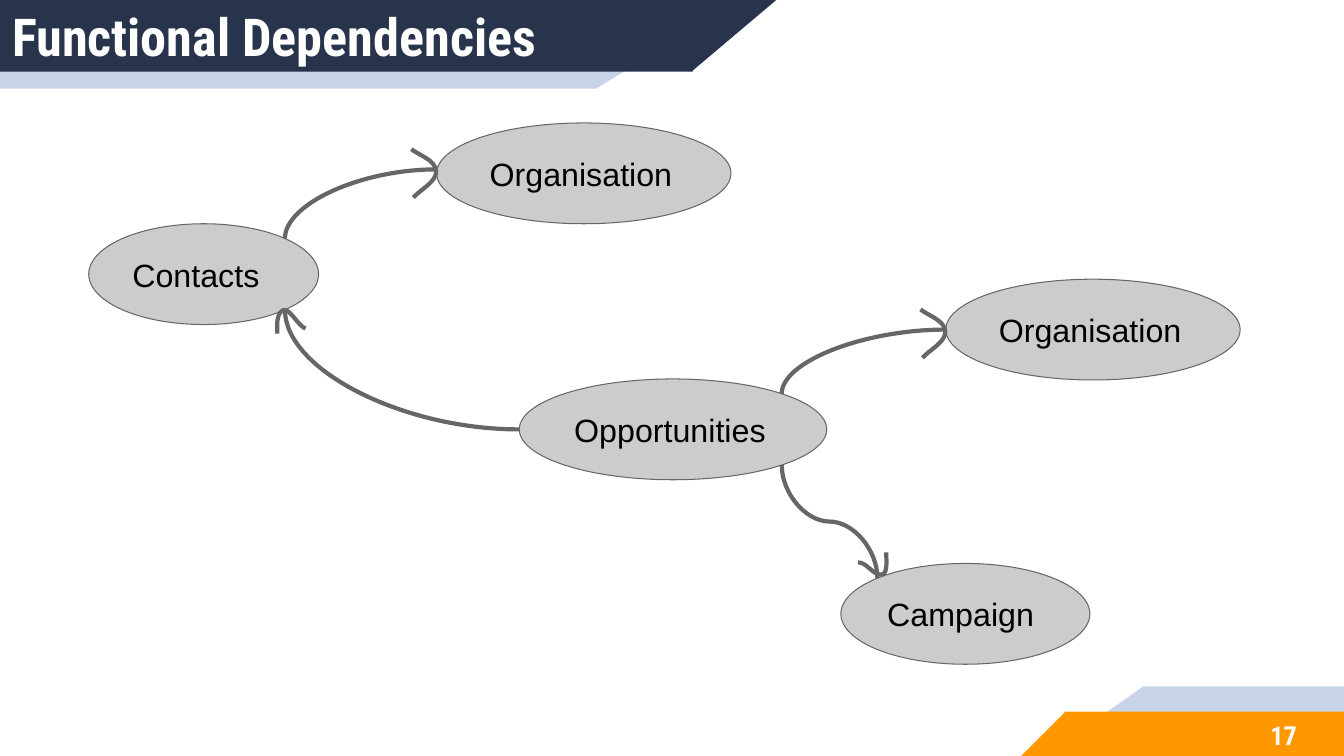
from math import sqrt

from lxml import etree
from pptx import Presentation
from pptx.dml.color import RGBColor
from pptx.enum.shapes import MSO_CONNECTOR, MSO_SHAPE
from pptx.enum.text import MSO_ANCHOR, PP_ALIGN
from pptx.oxml.ns import qn
from pptx.util import Inches, Pt

RECTANGLE, TRIANGLE, OVAL = MSO_SHAPE.RECTANGLE, MSO_SHAPE.RIGHT_TRIANGLE, MSO_SHAPE.OVAL
CURVE = MSO_CONNECTOR.CURVE
MIDDLE, LEFT, CENTER = MSO_ANCHOR.MIDDLE, PP_ALIGN.LEFT, PP_ALIGN.CENTER
NAVY = RGBColor(0x28, 0x34, 0x4B)
PALE_BLUE = RGBColor(0xC7, 0xD3, 0xE6)
ORANGE = RGBColor(0xFF, 0x98, 0x00)
WHITE = RGBColor(0xFF, 0xFF, 0xFF)
BLACK = RGBColor(0, 0, 0)
LIGHT_GREY = RGBColor(0xCC, 0xCC, 0xCC)
DARK_GREY = RGBColor(0x66, 0x66, 0x66)

WIDTH, HEIGHT = 13.33, 7.5
NODE_HEIGHT = 1
OVERLAP = 0.01  # hides the seam between a bar and its slanted end
CURVE_STEPS = 12
DIAGONAL = 1 / sqrt(2)

# Content
TITLE, PAGE_NUMBER = "Functional Dependencies", "17"
HEADING_FORMAT = {"name": "Roboto Condensed", "bold": True}
NODE_FORMAT = {"name": "Arial", "size": Pt(23)}

# Header bands: width of the bar, width of its slanted end, height, colour
HEADER_BANDS = [(5.91, 1.45, 0.88, PALE_BLUE), (6.86, 0.84, 0.71, NAVY)]
# Footer bands: the same, measured from the lower right corner
FOOTER_BANDS = [(1.99, 0.98, 0.69, PALE_BLUE), (2.76, 0.44, 0.44, ORANGE)]

# Nodes: label, left, top, width
NODES = {
    "contacts": ("Contacts", 0.88, 2.22, 2.28),
    "contact organisation": ("Organisation", 4.33, 1.22, 2.92),
    "opportunities": ("Opportunities", 5.15, 3.76, 3.05),
    "opportunity organisation": ("Organisation", 9.38, 2.77, 2.92),
    "campaign": ("Campaign", 8.34, 5.59, 2.47),
}

# Points on an oval's rim, as shares of its half width and half height
SITES = {
    "left": (-1, 0),
    "upper left side": (-1, -0.08),
    "top left": (-DIAGONAL, -DIAGONAL),
    "top right": (DIAGONAL, -DIAGONAL),
    "bottom right": (DIAGONAL, DIAGONAL),
}

# Dependencies: from node, site, to node, site, preset, rotation, mirrored
DEPENDENCIES = [
    ("contacts", "top right", "contact organisation", "upper left side",
     "curvedConnector2", 270, False),
    ("opportunities", "top right", "opportunity organisation", "left",
     "curvedConnector2", 270, False),
    ("opportunities", "bottom right", "campaign", "top left",
     "curvedConnector3", 270, True),
    ("opportunities", "left", "contacts", "bottom right",
     "curvedConnector2", 180, False),
]

# Hand-drawn heads: start point, then three Bezier points per segment
SIDE_HEAD = [(0, 0), (0.08, 0.06), (0.21, 0.1), (0.24, 0.19),
             (0.28, 0.31), (0.1, 0.39), (0.02, 0.48)]
DOWN_HEAD = [(0, 0.1), (0.09, 0.1), (0.14, 0.22), (0.23, 0.22),
             (0.3, 0.22), (0.28, 0.07), (0.28, 0)]
UP_HEAD = [(0, 0.24), (0, 0.16), (-0.01, 0.07), (0.04, 0.02),
           (0.11, -0.05), (0.19, 0.15), (0.28, 0.19)]
HEADS = [(4.08, 1.48, SIDE_HEAD), (9.13, 3.07, SIDE_HEAD),
         (8.51, 5.48, DOWN_HEAD), (2.75, 3.07, UP_HEAD)]


def add_shape(slide, kind, left, top, width, height, color, flip=None):
    shape = slide.shapes.add_shape(
        kind, Inches(left), Inches(top), Inches(width), Inches(height))
    shape.shadow.inherit = False
    shape.fill.solid()
    shape.fill.fore_color.rgb = color
    shape.line.fill.background()
    if flip:
        shape._element.spPr.find(qn("a:xfrm")).set(flip, "1")
    return shape


def set_line(line, width):
    line.color.rgb = DARK_GREY
    line.width = Pt(width)


def write(shape, text, color, formats, margins, alignment=LEFT):
    frame = shape.text_frame
    frame.word_wrap = True
    frame.vertical_anchor = MIDDLE
    for side, margin in zip(("left", "top", "right", "bottom"), margins):
        setattr(frame, "margin_" + side, Inches(margin))
    paragraph = frame.paragraphs[0]
    paragraph.alignment = alignment
    run = paragraph.add_run()
    run.text = text
    for name, value in formats.items():
        setattr(run.font, name, value)
    run.font.color.rgb = color


def add_text(slide, left, top, width, height, *text_settings):
    box = slide.shapes.add_textbox(
        Inches(left), Inches(top), Inches(width), Inches(height))
    write(box, *text_settings)


def rim_point(node, site):
    _, left, top, width = NODES[node]
    across, down = SITES[site]
    return left + width / 2 * (1 + across), top + NODE_HEIGHT / 2 * (1 + down)


def add_dependency(slide, start, end, preset, rotation, mirrored):
    width, height = abs(end[0] - start[0]), abs(end[1] - start[1])
    if rotation == 270:  # a quarter turn swaps the sides of the box
        width, height = height, width
    left = (start[0] + end[0] - width) / 2
    top = (start[1] + end[1] - height) / 2
    connector = slide.shapes.add_connector(
        CURVE, Inches(left), Inches(top), Inches(left + width), Inches(top + height))
    set_line(connector.line, 3)
    properties = connector._element.spPr
    transform = properties.find(qn("a:xfrm"))
    transform.set("rot", str(rotation * 60000))
    if mirrored:
        transform.set("flipH", "1")
    properties.find(qn("a:prstGeom")).set("prst", preset)
    etree.SubElement(properties, qn("a:effectLst"))


def bezier_points(points):
    for first in range(0, len(points) - 1, 3):
        a, b, c, d = points[first:first + 4]
        for step in range(1, CURVE_STEPS + 1):
            t = step / CURVE_STEPS
            weights = ((1 - t) ** 3, 3 * t * (1 - t) ** 2, 3 * t * t * (1 - t), t ** 3)
            yield tuple(sum(weight * point[axis] for weight, point
                            in zip(weights, (a, b, c, d))) for axis in (0, 1))


def add_head(slide, left, top, points):
    outline = [(Inches(left + x), Inches(top + y)) for x, y in points]
    builder = slide.shapes.build_freeform(*outline[0])
    builder.add_line_segments(bezier_points(outline), close=False)
    head = builder.convert_to_shape()
    head.shadow.inherit = False
    head.fill.background()
    set_line(head.line, 3)


def main():
    presentation = Presentation()
    presentation.slide_width, presentation.slide_height = Inches(WIDTH), Inches(HEIGHT)
    slide = presentation.slides.add_slide(presentation.slide_layouts[6])

    # Slanted bands at the top left and the bottom right
    for bar, slant, height, color in HEADER_BANDS:
        add_shape(slide, RECTANGLE, 0, 0, bar + OVERLAP, height, color)
        add_shape(slide, TRIANGLE, bar, 0, slant, height, color, "flipV")
    for bar, slant, height, color in FOOTER_BANDS:
        left, top = WIDTH - bar, HEIGHT - height
        add_shape(slide, RECTANGLE, left - OVERLAP, top, bar + OVERLAP, height, color)
        add_shape(slide, TRIANGLE, left - slant, top, slant, height, color, "flipH")

    # Title and page number
    add_text(slide, 0, 0.04, 7.36, 0.63, TITLE, WHITE,
             {**HEADING_FORMAT, "size": Pt(37.3)}, (0.12, 0, 0, 0))
    add_text(slide, 12.29, 7.07, 0.88, 0.45, PAGE_NUMBER, WHITE,
             {**HEADING_FORMAT, "size": Pt(18.7)}, (0.1,) * 4, CENTER)

    # Nodes
    for label, left, top, width in NODES.values():
        node = add_shape(slide, OVAL, left, top, width, NODE_HEIGHT, LIGHT_GREY)
        set_line(node.line, 0.75)
        write(node, label, BLACK, NODE_FORMAT, (0.1,) * 4)

    # Curves between the nodes and their heads
    for source, source_site, target, target_site, *route in DEPENDENCIES:
        add_dependency(slide, rim_point(source, source_site),
                       rim_point(target, target_site), *route)
    for head in HEADS:
        add_head(slide, *head)

    presentation.save("out.pptx")


if __name__ == "__main__":
    main()
